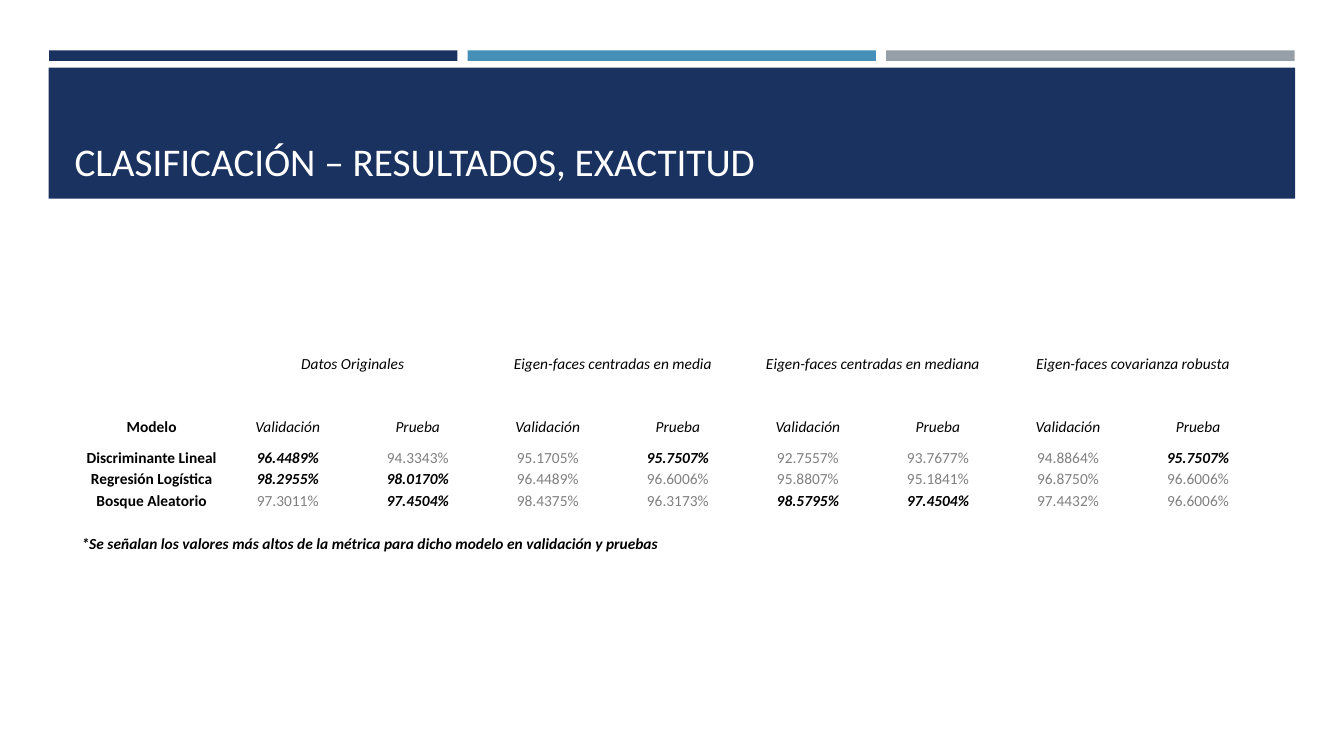
from dataclasses import dataclass

from lxml.etree import SubElement
from pptx import Presentation
from pptx.dml.color import RGBColor
from pptx.enum.shapes import MSO_SHAPE as Preset
from pptx.enum.text import MSO_ANCHOR as Anchor, MSO_AUTO_SIZE as AutoSize, PP_ALIGN as Align
from pptx.oxml.ns import qn
from pptx.util import Pt


@dataclass(frozen=True)
class Theme:
    font: str = "Calibri"
    navy: str = "1A3260"
    blue: str = "4590B8"
    grey: str = "969FA7"
    white: str = "FFFFFF"
    black: str = "000000"
    muted: str = "808080"
    title_size: float = 28
    table_size: float = 11


THEME = Theme()

# Table content: an asterisk marks the highest values for a model
DATASETS = ["Datos Originales", "Eigen-faces centradas en media",
            "Eigen-faces centradas en mediana", "Eigen-faces covarianza robusta"]
PHASES = ["Validación", "Prueba"]
ACCURACY = {
    "Discriminante Lineal": "96.4489%* 94.3343% 95.1705% 95.7507%* "
                            "92.7557% 93.7677% 94.8864% 95.7507%*",
    "Regresión Logística": "98.2955%* 98.0170%* 96.4489% 96.6006% "
                           "95.8807% 95.1841% 96.8750% 96.6006%",
    "Bosque Aleatorio": "97.3011% 97.4504%* 98.4375% 96.3173% "
                        "98.5795%* 97.4504%* 97.4432% 96.6006%",
}
FOOTNOTE = ("*Se señalan los valores más altos de la métrica "
            "para dicho modelo en validación y pruebas")

COLUMN_WIDTHS = [101.5] + [92.9] * len(DATASETS) * len(PHASES)
ROW_HEIGHTS = [59, 30.2] + [15.15] * 5

# Text looks
HEADING = {"italic": True}
MODEL = {"bold": True}
BEST = {"bold": True, "italic": True}
OTHER = {"color": THEME.muted}


def add_band(slide, left, top, width, height, color):
    band = slide.shapes.add_shape(Preset.RECTANGLE, Pt(left), Pt(top), Pt(width), Pt(height))
    band.shadow.inherit = False
    band.fill.solid()
    band.fill.fore_color.rgb = RGBColor.from_string(color)
    band.line.fill.background()


def write(paragraph, text, size=THEME.table_size, color=THEME.black,
          bold=False, italic=False, align=Align.CENTER):
    paragraph.alignment = align
    run = paragraph.add_run()
    run.text = text
    look = {"name": THEME.font, "size": Pt(size), "bold": bold, "italic": italic}
    for attribute, value in look.items():
        setattr(run.font, attribute, value)
    run.font.color.rgb = RGBColor.from_string(color)


def place_title(slide, text):
    title = slide.shapes.title
    box = {"left": 46.1, "top": 55.4, "width": 868.3, "height": 79.9}
    for side, length in box.items():
        setattr(title, side, Pt(length))
    frame = title.text_frame
    frame.word_wrap = True
    frame.auto_size = AutoSize.NONE
    frame.vertical_anchor = Anchor.BOTTOM
    write(frame.paragraphs[0], text, THEME.title_size, THEME.white, align=Align.LEFT)
    # Bring the title in front of its band
    title.element.getparent().append(title.element)


def prepare_cell(cell):
    cell_format = {"margin_left": Pt(0.7), "margin_right": Pt(0.7), "margin_top": Pt(0.7),
                   "margin_bottom": 0, "vertical_anchor": Anchor.MIDDLE}
    for attribute, value in cell_format.items():
        setattr(cell, attribute, value)
    cell.fill.background()
    # Keep blank cells as low as their row
    if not cell.text_frame.paragraphs[0].runs:
        SubElement(cell.text_frame.paragraphs[0]._p, qn("a:endParaRPr"),
                   sz=str(int(THEME.table_size * 100)))


def add_accuracy_table(slide, left, top):
    frame = slide.shapes.add_table(len(ROW_HEIGHTS), len(COLUMN_WIDTHS), Pt(left), Pt(top),
                                   Pt(sum(COLUMN_WIDTHS)), Pt(sum(ROW_HEIGHTS)))
    accuracy = frame.table
    accuracy.first_row = accuracy.horz_banding = False
    for column, width in zip(accuracy.columns, COLUMN_WIDTHS):
        column.width = Pt(width)
    for row, height in zip(accuracy.rows, ROW_HEIGHTS):
        row.height = Pt(height)

    def fill_cell(row, column, text, **look):
        write(accuracy.cell(row, column).text_frame.paragraphs[0], text, **look)

    # Two header rows
    fill_cell(1, 0, "Modelo", **MODEL)
    for group, dataset in enumerate(DATASETS):
        first = 1 + group * len(PHASES)
        accuracy.cell(0, first).merge(accuracy.cell(0, first + len(PHASES) - 1))
        fill_cell(0, first, dataset, **HEADING)
        for offset, phase in enumerate(PHASES):
            fill_cell(1, first + offset, phase, **HEADING)

    # One row for each model
    for row, (model, values) in enumerate(ACCURACY.items(), start=2):
        fill_cell(row, 0, model, **MODEL)
        for column, value in enumerate(values.split(), start=1):
            look = BEST if value.endswith("*") else OTHER
            fill_cell(row, column, value.rstrip("*"), **look)

    # Footnote
    last = len(ROW_HEIGHTS) - 1
    accuracy.cell(last, 0).merge(accuracy.cell(last, 4))
    fill_cell(last, 0, FOOTNOTE, align=Align.LEFT, **BEST)

    for cell in accuracy.iter_cells():
        prepare_cell(cell)
    accuracy.cell(last, 0).vertical_anchor = Anchor.BOTTOM


def main():
    deck = Presentation()
    deck.slide_width, deck.slide_height = Pt(960), Pt(540)
    slide = deck.slides.add_slide(deck.slide_layouts[5])

    # Header bands
    for index, color in enumerate([THEME.navy, THEME.blue, THEME.grey]):
        add_band(slide, 35 + index * 299, 36, 291.7, 7.5, color)
    add_band(slide, 34.8, 48.4, 890.3, 93.6, THEME.navy)

    place_title(slide, "CLASIFICACIÓN – RESULTADOS, EXACTITUD")
    add_accuracy_table(slide, 57.6, 230.4)
    deck.save("out.pptx")


if __name__ == "__main__":
    main()
